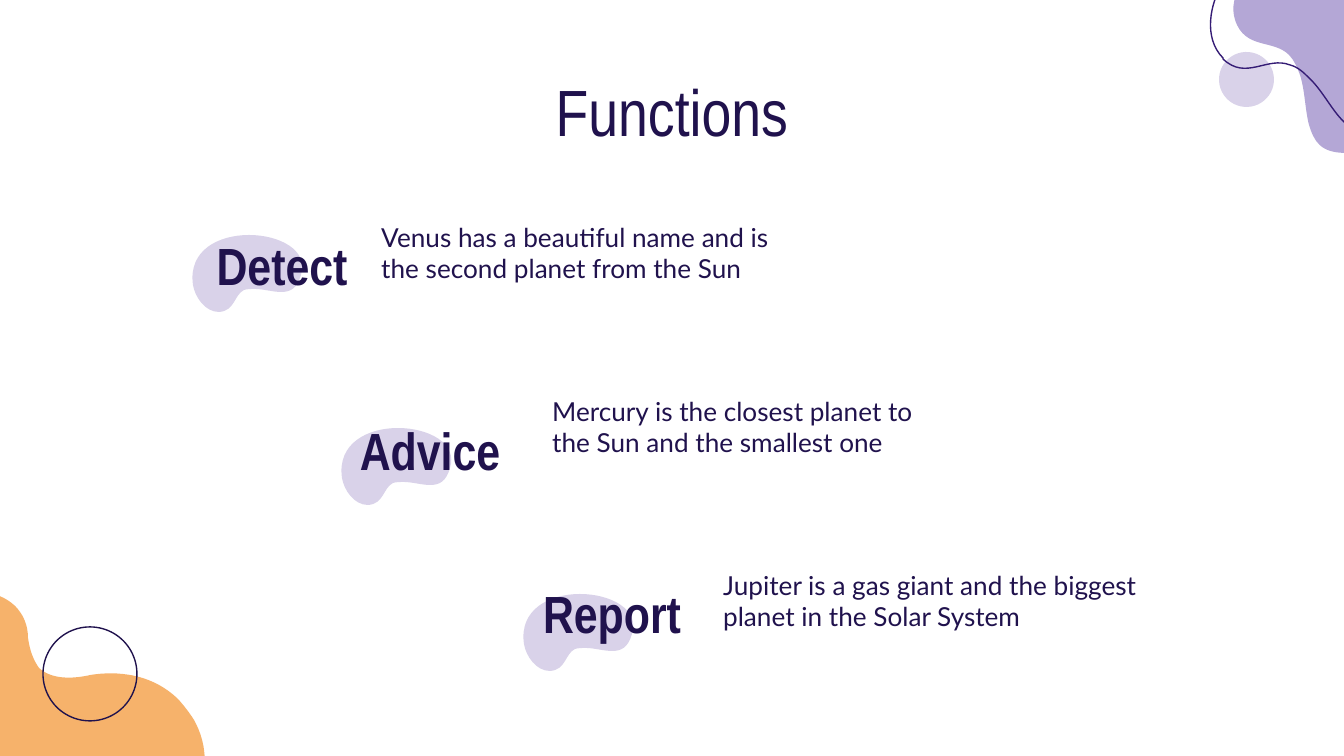
import math

from lxml import etree
from pptx import Presentation
from pptx import util as u
from pptx.dml import color
from pptx.enum import shapes, text
from pptx.oxml import ns

PX = 914400 / 134.4
NAVY, LAVENDER = "20124D", "D9D2E9"

presentation = Presentation()
presentation.slide_width = u.Emu(round(1344 * PX))
presentation.slide_height = u.Emu(round(756 * PX))
slide = presentation.slides.add_slide(presentation.slide_layouts[6])


def paint(shape, fill=None, line=None):
    """Set fill and outline from hex strings; None leaves that part empty."""
    shape.shadow.inherit = False
    if fill:
        shape.fill.solid()
        shape.fill.fore_color.rgb = color.RGBColor.from_string(fill)
    else:
        shape.fill.background()
    if line:
        shape.line.color.rgb = color.RGBColor.from_string(line)
        shape.line.width = u.Pt(0.75)
    else:
        shape.line.fill.background()


def add_text(box, words, font, size, bold=False, align=text.PP_ALIGN.LEFT, after=0):
    """Add a wrapped text box; box is left, top, width, height in px."""
    shape = slide.shapes.add_textbox(*(round(v * PX) for v in box))
    frame = shape.text_frame
    frame.word_wrap = True
    frame.margin_left = frame.margin_right = u.Inches(0.1)
    frame.margin_top = frame.margin_bottom = u.Inches(0.1)
    paragraph = frame.paragraphs[0]
    paragraph.alignment = align
    paragraph.space_after = u.Pt(after)
    run = paragraph.add_run()
    run.text = words
    run.font.name, run.font.size, run.font.bold = font, u.Pt(size), bold
    run.font.color.rgb = color.RGBColor.from_string(NAVY)


# Outlines in px: a start point, then cubic curves (6 numbers) or lines (2)
orange_wave = [
    (179, 700), (184, 706, 189, 712, 194, 720), (220, 767, 194, 814, 165, 836),
    (145, 851, 121, 857, 97, 855), (95, 855, 94, 855, 94, 855),
    (-70, 691), (-70, 691, -89, 640, -56, 608),
    (-34, 586, -3, 589, 15, 606), (23, 614, 28, 625, 28, 638),
    (30, 652, 34, 661, 39, 668), (52, 680, 73, 679, 91, 675),
    (116, 671, 152, 673, 179, 700)]
purple_wave = [
    (1396, 31), (1414, 89, 1403, 155, 1346, 153),
    (1320, 153, 1314, 141, 1309, 125), (1305, 110, 1305, 91, 1300, 75),
    (1297, 67, 1294, 60, 1289, 55), (1273, 39, 1245, 50, 1235, 20),
    (1235, 20, 1235, 20, 1235, 20),
    (1227, -5, 1249, -32, 1270, -43), (1333, -73, 1379, -24, 1396, 31)]
wave_line = [
    (1379, -9), (1423, 35, 1443, 102, 1394, 126),
    (1370, 138, 1355, 133, 1343, 121), (1331, 109, 1322, 90, 1309, 78),
    (1304, 73, 1298, 67, 1290, 65), (1267, 56, 1246, 81, 1223, 59),
    (1223, 59, 1223, 58, 1223, 58),
    (1203, 38, 1210, 3, 1223, -17), (1268, -77, 1335, -54, 1379, -9)]
blob = [
    (61, 0), (91, 0, 121, 15, 113, 40), (109, 54, 102, 57, 93, 57),
    (85, 57, 75, 54, 67, 54), (63, 54, 59, 54, 56, 55),
    (46, 60, 47, 76, 31, 77), (31, 77, 31, 77, 31, 77),
    (17, 77, 7, 62, 5, 50), (0, 15, 31, 0, 61, 0)]

# Corner decorations and label blobs, from back to front
# Each entry: outline (None for a circle), its offset, box, rotation, fill, line
decorations = [
    (orange_wave, (0, 0), (-93, 626, 325, 169), 45, "F6B26B", None),
    (None, None, (43, 627, 94, 94), 8.1, None, NAVY),
    (purple_wave, (0, 0), (1206, -22, 238, 151), 72.8, "B4A7D6", None),
    (None, None, (1219, 52, 55, 55), 72.8, LAVENDER, None),
    (wave_line, (0, 0), (1198, -34, 249, 159), 45.3, None, "351C75"),
]
for left, top in [(337, 428), (519, 594), (188, 235)]:
    decorations.append(
        (blob, (left, top), (left, top, 121, 77), 0, LAVENDER, None))

for outline, offset, box, rotation, fill, line in decorations:
    left, top, width, height = (round(v * PX) for v in box)
    if outline is None:
        shape = slide.shapes.add_shape(
            shapes.MSO_SHAPE.OVAL, left, top, width, height)
    else:
        anchors = [(x * PX, y * PX) for *_, x, y in outline]
        builder = slide.shapes.build_freeform(*anchors[0])
        builder.add_line_segments(anchors[1:], close=True)
        shape = builder.convert_to_shape()
        shape.left, shape.top, shape.width, shape.height = left, top, width, height
        route = shape.element.xpath(".//a:path")[0]
        route.set("w", str(width))
        route.set("h", str(height))
        # Turn the points back about the box centre and write them as curves
        cosine, sine = math.cos(math.radians(rotation)), math.sin(math.radians(rotation))
        for command, segment in zip(list(route), outline):
            for point in list(command):
                command.remove(point)
            if len(segment) == 6:
                curve = etree.Element(ns.qn("a:cubicBezTo"))
                route.replace(command, curve)
                command = curve
            for x, y in zip(segment[::2], segment[1::2]):
                dx = x + offset[0] - box[0] - box[2] / 2
                dy = y + offset[1] - box[1] - box[3] / 2
                local_x = box[2] / 2 + dx * cosine + dy * sine
                local_y = box[3] / 2 - dx * sine + dy * cosine
                etree.SubElement(command, ns.qn("a:pt"), x=str(round(local_x * PX)),
                                 y=str(round(local_y * PX)))
    shape.rotation = rotation
    paint(shape, fill, line)

# Title
add_text((318, 58, 708, 77), "Functions", "Arial Narrow", 35,
         align=text.PP_ALIGN.CENTER)

# Functions, each description one step right and down from the last
functions = [
    ("Detect", 179, 220, 419,
     "Venus has a beautiful name and is the second planet from the Sun"),
    ("Advice", 327, 405, 414,
     "Mercury is the closest planet to the Sun and the smallest one"),
    ("Report", 509, 568, 454,
     "Jupiter is a gas giant and the biggest planet in the Solar System"),
]
for i, (label, left, top, width, description) in enumerate(functions):
    add_text((left, top, 206, 51), label, "Arial Narrow", 28, True,
             text.PP_ALIGN.CENTER, after=16)
    add_text((368 + 171 * i, 208 + 174 * i, width, 71), description, "Lato", 14)

presentation.save("out.pptx")
